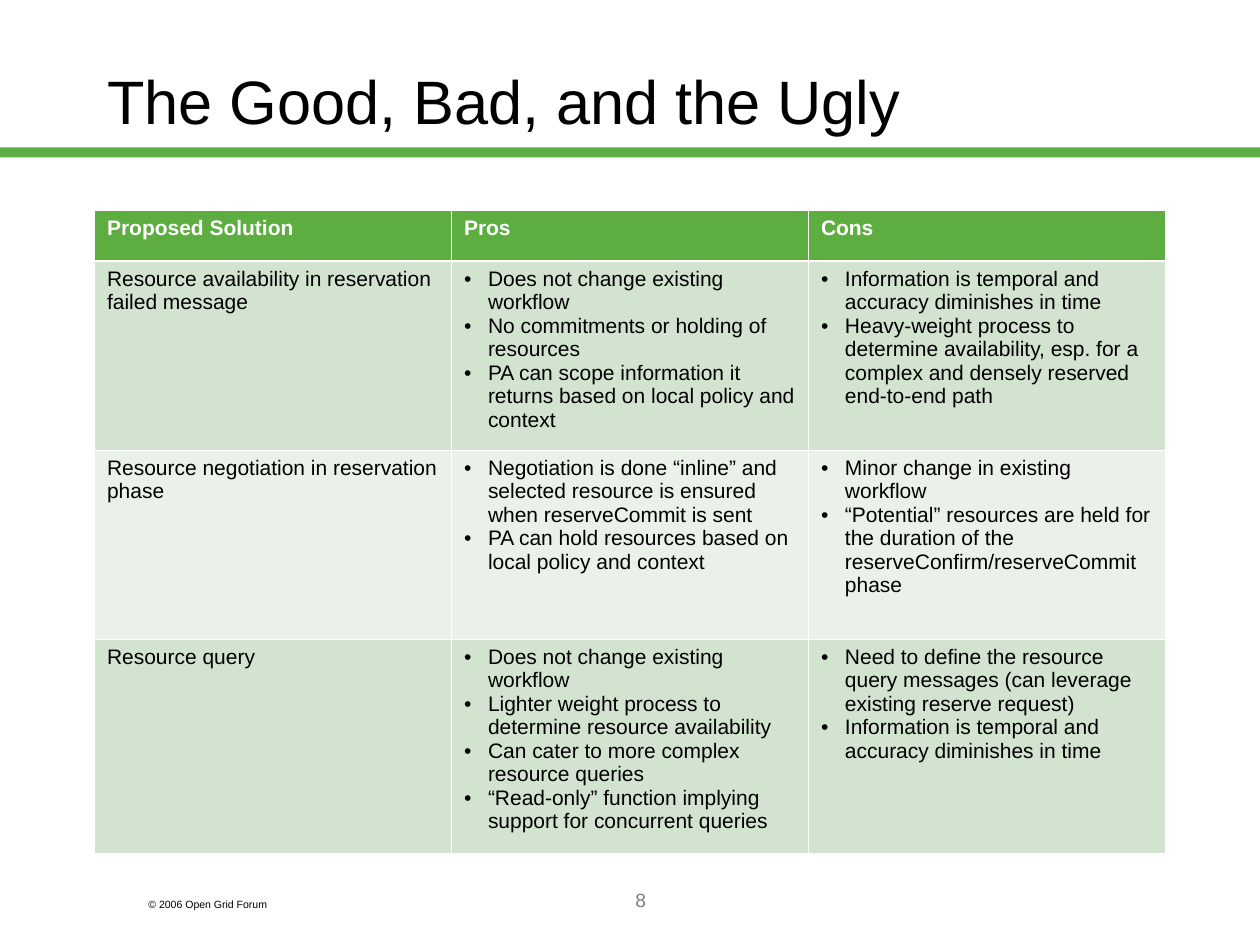
from lxml.etree import SubElement
from pptx import Presentation
from pptx.dml.color import RGBColor
from pptx.enum.shapes import MSO_SHAPE
from pptx.enum.text import MSO_ANCHOR, PP_ALIGN
from pptx.oxml.ns import qn
from pptx.util import Inches, Pt

THEME = {
    "font": "Arial",
    "green": "5DAD41", "band": "D2E3CF", "pale": "EAF1E8",
    "white": "FFFFFF", "black": "000000", "grey": "808080",
    "title": 35, "body": 12, "number": 11, "footer": 6,
    "thin": 0.45, "thick": 1.47,
}

TITLE = "The Good, Bad, and the Ugly"
FOOTER = "© 2006 Open Grid Forum"
PAGE_NUMBER = "8"
HEADER = ("Proposed Solution", "Pros", "Cons")
SOLUTIONS = [
    ("Resource availability in reservation failed message",
     ["Does not change existing workflow",
      "No commitments or holding of resources",
      "PA can scope information it returns based on local policy and context"],
     ["Information is temporal and accuracy diminishes in time",
      "Heavy-weight process to determine availability, esp. for a complex "
      "and densely reserved end-to-end path"]),
    ("Resource negotiation in reservation phase",
     ["Negotiation is done “inline” and selected resource is ensured when "
      "reserveCommit is sent",
      "PA can hold resources based on local policy and context"],
     ["Minor change in existing workflow",
      "“Potential” resources are held for the duration of the "
      "reserveConfirm/reserveCommit phase"]),
    ("Resource query",
     ["Does not change existing workflow",
      "Lighter weight process to determine resource availability",
      "Can cater to more complex resource queries",
      "“Read-only” function implying support for concurrent queries"],
     ["Need to define the resource query messages (can leverage existing "
      "reserve request)",
      "Information is temporal and accuracy diminishes in time"]),
]
ROW_HEIGHTS = (0.4, 1.5, 1.5, 1.7)
TABLE_LEFT, TABLE_TOP, TABLE_WIDTH = 0.75, 1.67, 8.5


def color(name):
    return RGBColor.from_string(THEME[name])


def style(para, size, ink, bold=False):
    for span in para.runs:
        span.font.name = THEME["font"]
        span.font.size = Pt(THEME[size])
        span.font.color.rgb = color(ink)
        span.font.bold = bold


def add_text(page, text, area, size, ink, align=PP_ALIGN.LEFT):
    box = page.shapes.add_textbox(*map(Inches, area))
    box.text_frame.word_wrap = True
    para = box.text_frame.paragraphs[0]
    para.text = text
    para.alignment = align
    style(para, size, ink)
    return para


def add_bullet(para):
    props = para._p.get_or_add_pPr()
    props.set("marL", str(Inches(0.19)))
    props.set("indent", str(-Inches(0.19)))
    SubElement(props, qn("a:buFont"), typeface=THEME["font"])
    SubElement(props, qn("a:buChar"), char="•")


def set_borders(cell, top, bottom):
    props = cell._tc.get_or_add_tcPr()
    widths = {"L": "thin", "R": "thin", "T": top, "B": bottom}
    for index, (side, width) in enumerate(widths.items()):
        line = props.makeelement(qn(f"a:ln{side}"), {"w": str(Pt(THEME[width]))})
        fill = SubElement(line, qn("a:solidFill"))
        SubElement(fill, qn("a:srgbClr"), val=THEME["white"])
        props.insert(index, line)


def fill_cell(cell, content, row):
    is_header = row == 0
    cell.fill.solid()
    cell.fill.fore_color.rgb = color(
        "green" if is_header else "band" if row % 2 else "pale")
    set_borders(cell, "thick" if row == 1 else "thin",
                "thick" if is_header else "thin")
    bulleted = isinstance(content, list)
    frame = cell.text_frame
    frame.text = "\n".join(content) if bulleted else content
    for para in frame.paragraphs:
        if bulleted:
            add_bullet(para)
        style(para, "body", "white" if is_header else "black", is_header)


def add_solutions(page):
    rows = [HEADER, *SOLUTIONS]
    table = page.shapes.add_table(
        len(rows), len(HEADER), Inches(TABLE_LEFT), Inches(TABLE_TOP),
        Inches(TABLE_WIDTH), Inches(sum(ROW_HEIGHTS))).table
    for column in table.columns:
        column.width = Inches(TABLE_WIDTH / len(HEADER))
    for row, (contents, height) in enumerate(zip(rows, ROW_HEIGHTS)):
        table.rows[row].height = Inches(height)
        for col, content in enumerate(contents):
            fill_cell(table.cell(row, col), content, row)


def main():
    deck = Presentation()
    deck.slide_width, deck.slide_height = Inches(10), Inches(7.5)
    page = deck.slides.add_slide(deck.slide_layouts[5])

    # Green rule below the title
    rule = page.shapes.add_shape(
        MSO_SHAPE.RECTANGLE, *map(Inches, (0, 1.17, 10, 0.08)))
    rule.shadow.inherit = False
    rule.fill.solid()
    rule.fill.fore_color.rgb = color("green")
    rule.line.fill.background()

    # Title
    title = page.shapes.title
    title.left, title.top, title.width, title.height = map(
        Inches, (0.75, 0.17, 8.5, 1.25))
    title.text_frame.text = TITLE
    title.text_frame.vertical_anchor = MSO_ANCHOR.MIDDLE
    heading = title.text_frame.paragraphs[0]
    heading.alignment = PP_ALIGN.LEFT
    style(heading, "title", "black")

    # Footer and page number
    add_text(page, FOOTER, (1.08, 7.08, 1.5, 0.2), "footer", "black")
    add_text(page, PAGE_NUMBER, (2.17, 7, 5.83, 0.5), "number", "grey",
             PP_ALIGN.CENTER)

    # Comparison table
    add_solutions(page)

    deck.save("out.pptx")


if __name__ == "__main__":
    main()
